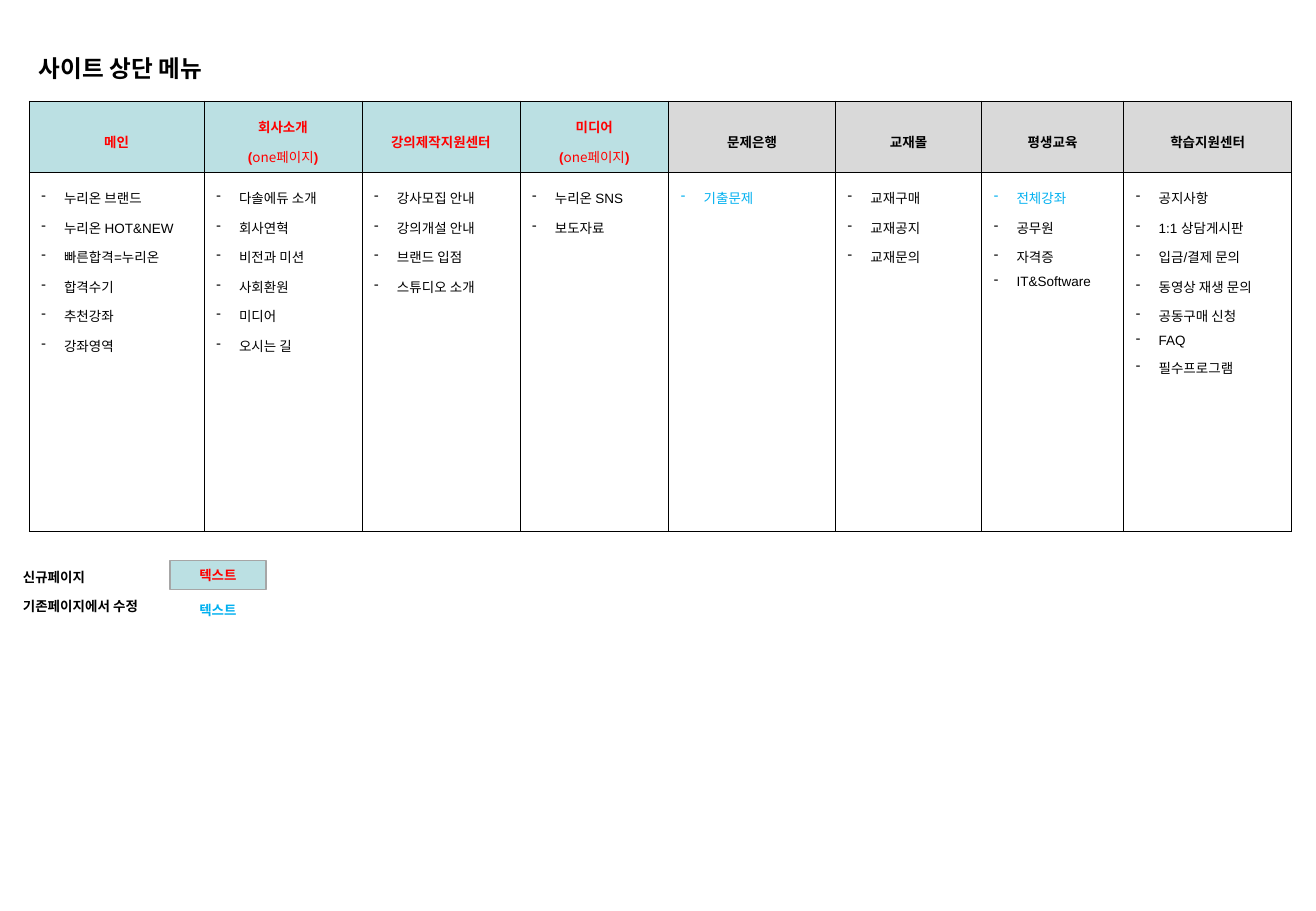
from dataclasses import dataclass

from lxml.etree import SubElement
from pptx import Presentation
from pptx.dml.color import RGBColor
from pptx.enum.shapes import MSO_SHAPE
from pptx.enum.text import MSO_ANCHOR, MSO_AUTO_SIZE, PP_ALIGN
from pptx.oxml.ns import qn
from pptx.util import Pt


@dataclass(frozen=True)
class Theme:
    latin: str = "Arial"
    korean: str = "Noto Sans CJK KR"
    black: str = "000000"
    white: str = "FFFFFF"
    red: str = "FF0000"
    blue: str = "00B0F0"
    teal: str = "BBE0E3"
    gray: str = "D9D9D9"
    outline: str = "A6A6A6"
    title: float = 14
    body: float = 8


T = Theme()

# Menu: heading, is new page, has one-page note, column width, items
MENU = [
    ("메인", True, False, 103.7,
     ["누리온 브랜드", "누리온 HOT&NEW", "빠른합격=누리온", "합격수기", "추천강좌", "강좌영역"]),
    ("회사소개", True, True, 93.6,
     ["다솔에듀 소개", "회사연혁", "비전과 미션", "사회환원", "미디어", "오시는 길"]),
    ("강의제작지원센터", True, False, 93.6,
     ["강사모집 안내", "강의개설 안내", "브랜드 입점", "스튜디오 소개"]),
    ("미디어", True, True, 88.2, ["누리온 SNS", "보도자료"]),
    ("문제은행", False, False, 98.9, ["기출문제"]),
    ("교재몰", False, False, 86.6, ["교재구매", "교재공지", "교재문의"]),
    ("평생교육", False, False, 84.2, ["전체강좌", "공무원", "자격증", "IT&Software"]),
    ("학습지원센터", False, False, 99.6,
     ["공지사항", "1:1 상담게시판", "입금/결제 문의", "동영상 재생 문의",
      "공동구매 신청", "FAQ", "필수프로그램"]),
]
REVISED = {"기출문제", "전체강좌"}
ROW_HEIGHTS = (42.2, 212.8)


def add_text(p, text, size=T.body, font=T.latin, color=T.black, bold=False,
             align=PP_ALIGN.LEFT, spacing=None, before=None):
    p.alignment = align
    if spacing:
        p.line_spacing = spacing
    if before:
        p.space_before = Pt(before)
    r = p.add_run()
    r.text = text
    r.font.size, r.font.name, r.font.bold = Pt(size), font, bold
    r.font.color.rgb = RGBColor.from_string(color)
    SubElement(r.font._element, qn("a:ea"), typeface=T.korean)


def add_bullet(p, indent=13.5):
    pPr = p._p.get_or_add_pPr()
    pPr.set("marL", str(Pt(indent)))
    pPr.set("indent", str(-Pt(indent)))
    SubElement(pPr, qn("a:buFontTx"))
    SubElement(pPr, qn("a:buChar"), char="-")


def next_paragraph(tf, index):
    return tf.add_paragraph() if index else tf.paragraphs[0]


def style_cell(cell, fill):
    tcPr = cell._tc.get_or_add_tcPr()
    for side in ("lnL", "lnR", "lnT", "lnB"):
        ln = SubElement(tcPr, qn(f"a:{side}"), w=str(Pt(0.5)))
        solid = SubElement(ln, qn("a:solidFill"))
        SubElement(solid, qn("a:srgbClr"), val=T.black)
    cell.fill.solid()
    cell.fill.fore_color.rgb = RGBColor.from_string(fill)


def add_title(s, x, y, w, h):
    sp = s.shapes.title
    sp.left, sp.top, sp.width, sp.height = Pt(x), Pt(y), Pt(w), Pt(h)
    tf = sp.text_frame
    tf.auto_size = MSO_AUTO_SIZE.NONE
    tf.vertical_anchor = MSO_ANCHOR.TOP
    add_text(tf.paragraphs[0], "사이트 상단 메뉴", size=T.title, bold=True)


def fill_heading(cell, heading, is_new, one_page):
    style_cell(cell, T.teal if is_new else T.gray)
    cell.vertical_anchor = MSO_ANCHOR.MIDDLE
    look = dict(color=T.red if is_new else T.black,
                align=PP_ALIGN.CENTER, spacing=1.5)
    tf = cell.text_frame
    add_text(tf.paragraphs[0], heading, bold=True, **look)
    if one_page:
        p = tf.add_paragraph()
        add_text(p, "(", bold=True, **look)
        add_text(p, "one페이지", font=T.korean, **look)
        add_text(p, ")", bold=True, **look)


def fill_items(cell, items):
    style_cell(cell, T.white)
    for i, item in enumerate(items):
        p = next_paragraph(cell.text_frame, i)
        p.line_spacing = 1.5
        add_bullet(p)
        add_text(p, item, color=T.blue if item in REVISED else T.black)


def add_menu_table(s, x, y, w, h):
    table = s.shapes.add_table(2, len(MENU), Pt(x), Pt(y), Pt(w), Pt(h)).table
    table.first_row = table.horz_banding = False
    for row, height in zip(table.rows, ROW_HEIGHTS):
        row.height = Pt(height)
    for c, (heading, is_new, one_page, width, items) in enumerate(MENU):
        table.columns[c].width = Pt(width)
        fill_heading(table.cell(0, c), heading, is_new, one_page)
        fill_items(table.cell(1, c), items)


def add_sample(s, x, y, w, h, color, boxed):
    if boxed:
        sp = s.shapes.add_shape(MSO_SHAPE.RECTANGLE, Pt(x), Pt(y), Pt(w), Pt(h))
        sp.shadow.inherit = False
        sp.fill.solid()
        sp.fill.fore_color.rgb = RGBColor.from_string(T.teal)
        sp.line.color.rgb = RGBColor.from_string(T.outline)
        sp.line.width = Pt(0.75)
    else:
        sp = s.shapes.add_textbox(Pt(x), Pt(y), Pt(w), Pt(h))
    tf = sp.text_frame
    tf.word_wrap = False
    tf.vertical_anchor = MSO_ANCHOR.MIDDLE
    tf.margin_left = tf.margin_right = tf.margin_top = tf.margin_bottom = 0
    add_text(tf.paragraphs[0], "텍스트", font=T.korean, color=color, bold=True,
             align=PP_ALIGN.CENTER)


def add_legend(s, x, y, w, h):
    # Labels
    tf = s.shapes.add_textbox(Pt(x), Pt(y + 1.4), Pt(96.5), Pt(h)).text_frame
    tf.word_wrap = True
    for i, label in enumerate(("신규페이지", "기존페이지에서 수정")):
        add_text(next_paragraph(tf, i), label, font=T.korean, bold=True,
                 before=7.4 * i)
    # Samples
    sample_w, sample_h = 56.9, 17.3
    left = x + w - sample_w
    add_sample(s, left, y, sample_w, sample_h, T.red, boxed=True)
    add_sample(s, left, y + 20.9, sample_w, sample_h, T.blue, boxed=False)


def main():
    prs = Presentation()
    prs.slide_width, prs.slide_height = Pt(780), Pt(540)
    s = prs.slides.add_slide(prs.slide_layouts[5])
    add_title(s, 15.8, 28.1, 518.4, 24.5)
    add_menu_table(s, 17.3, 59.8, sum(col[3] for col in MENU), sum(ROW_HEIGHTS))
    add_legend(s, 6.5, 332.3, 151.2, 40)
    prs.save("out.pptx")


if __name__ == "__main__":
    main()
